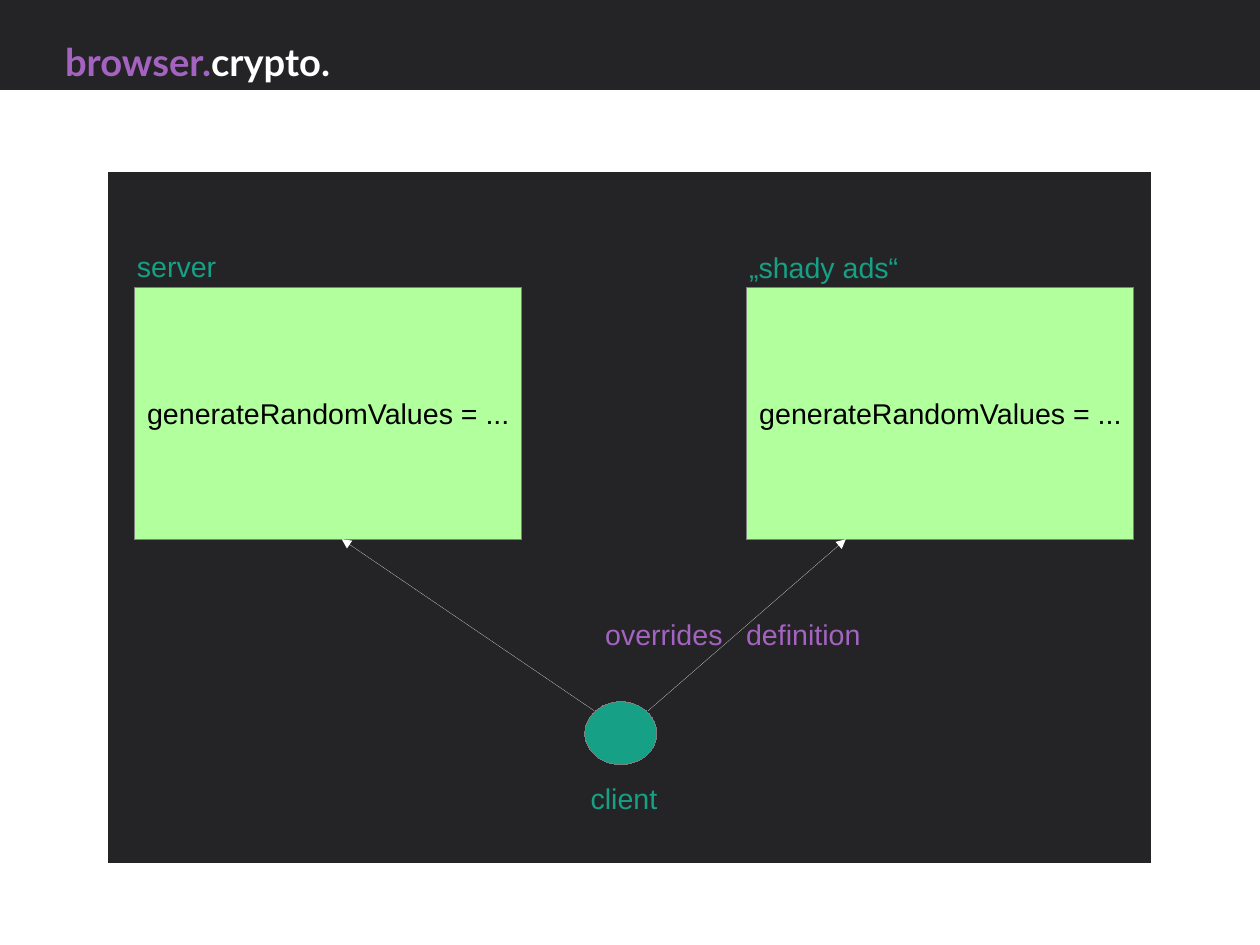
import pptx
import pptx.util
import pptx.dml.color
import pptx.enum.shapes
import pptx.enum.text
import pptx.oxml
import pptx.oxml.ns
from dataclasses import dataclass

Pt = pptx.util.Pt
Kind = pptx.enum.shapes.MSO_SHAPE
Anchor = pptx.enum.text.MSO_ANCHOR
Align = pptx.enum.text.PP_ALIGN
Fit = pptx.enum.text.MSO_AUTO_SIZE


@dataclass(frozen=True)
class Theme:
    dark: str = "242426"
    teal: str = "16A085"
    lime: str = "B2FF9E"
    plum: str = "A563C1"
    gray: str = "808080"
    white: str = "FFFFFF"
    black: str = "000000"
    body: str = "Arial"
    head: str = "Lato"
    text: int = 18
    title: int = 24


theme = Theme()
size = (793.7, 595.28)
bar = (0, 0, size[0], 56.7)
panel = (67.7, 107.8, 657.4, 436.3)
node = (368.4, 442, 45.4, 39.6)
name = [("browser.", theme.plum), ("crypto.", theme.white)]
code = "generateRandomValues = ..."
box = (243.8, 158.4)
top = 181.3
hosts = [
    ("server", 84.9, 153.4, 374.4, 215.3),
    ("„shady ads“", 470.5, 154.1, 408.2, 532.8),
]
start = 447.8
notes = [
    ("client", theme.teal, (365, 488.2, 198.7, 27.4)),
    ("overrides\tdefinition", theme.plum, (374.1, 385.2, 181.4, 27.4)),
]
stop = 88.8


def tint(text):
    return pptx.dml.color.RGBColor.from_string(text)


def place(rect):
    return [Pt(v) for v in rect]


def node_xml(text):
    space = pptx.oxml.ns.nsdecls("a")
    return pptx.oxml.parse_xml(text.replace(" ", f" {space} ", 1))


def write(para, text, color, font=theme.body, pts=theme.text, bold=None):
    run = para.add_run()
    run.text = text
    run.font.name = font
    run.font.size = Pt(pts)
    run.font.bold = bold
    run.font.color.rgb = tint(color)


def hair(shape, color):
    shape.line.color.rgb = tint(color)
    edge = shape.element.spPr.find(pptx.oxml.ns.qn("a:ln"))
    edge.set("w", "0")
    return edge


def draw(kind, rect, fill, edge=None):
    shape = slide.shapes.add_shape(kind, *place(rect))
    shape.shadow.inherit = False
    shape.fill.solid()
    shape.fill.fore_color.rgb = tint(fill)
    if edge:
        hair(shape, edge)
    else:
        shape.line.fill.background()
    return shape


def label(text, color, rect):
    frame = slide.shapes.add_textbox(*place(rect)).text_frame
    frame.word_wrap = True
    frame.auto_size = Fit.SHAPE_TO_FIT_TEXT
    para = frame.paragraphs[0]
    write(para, text, color)
    if "\t" in text:
        tabs = node_xml('<a:tabLst ><a:tab algn="l"/></a:tabLst>')
        tabs[0].set("pos", str(int(Pt(stop))))
        para._p.get_or_add_pPr().append(tabs)


def arrow(x1, y1, x2, y2):
    line = slide.shapes.add_connector(
        pptx.enum.shapes.MSO_CONNECTOR.STRAIGHT, *place((x1, y1, x2, y2))
    )
    hair(line, theme.white).append(node_xml('<a:tailEnd type="triangle"/>'))
    line.element.spPr.append(node_xml("<a:effectLst />"))


deck = pptx.Presentation()
deck.slide_width, deck.slide_height = place(size)
slide = deck.slides.add_slide(deck.slide_layouts[5])

draw(Kind.RECTANGLE, panel, theme.dark, theme.white)
draw(Kind.RECTANGLE, bar, theme.dark)
draw(Kind.OVAL, node, theme.teal, theme.gray)

for host, left, high, begin, end in hosts:
    label(host, theme.teal, (left - 5.7, high, 158.4, 27.4))
    card = draw(Kind.RECTANGLE, (left, top, *box), theme.lime, theme.gray)
    frame = card.text_frame
    frame.word_wrap = False
    frame.vertical_anchor = Anchor.MIDDLE
    para = frame.paragraphs[0]
    para.alignment = Align.CENTER
    write(para, code, theme.black)
    arrow(begin, start, end, top + box[1])

for note in notes:
    label(*note)

title = slide.shapes.title
title.left, title.top, title.width, title.height = place((33.8, 20.5, 238.3, 36))
frame = title.text_frame
frame.word_wrap = True
frame.auto_size = Fit.SHAPE_TO_FIT_TEXT
frame.vertical_anchor = Anchor.TOP
para = frame.paragraphs[0]
para.alignment = Align.LEFT
for part, color in name:
    write(para, part, color, theme.head, theme.title, True)
title.element.getparent().append(title.element)

deck.save("out.pptx")
